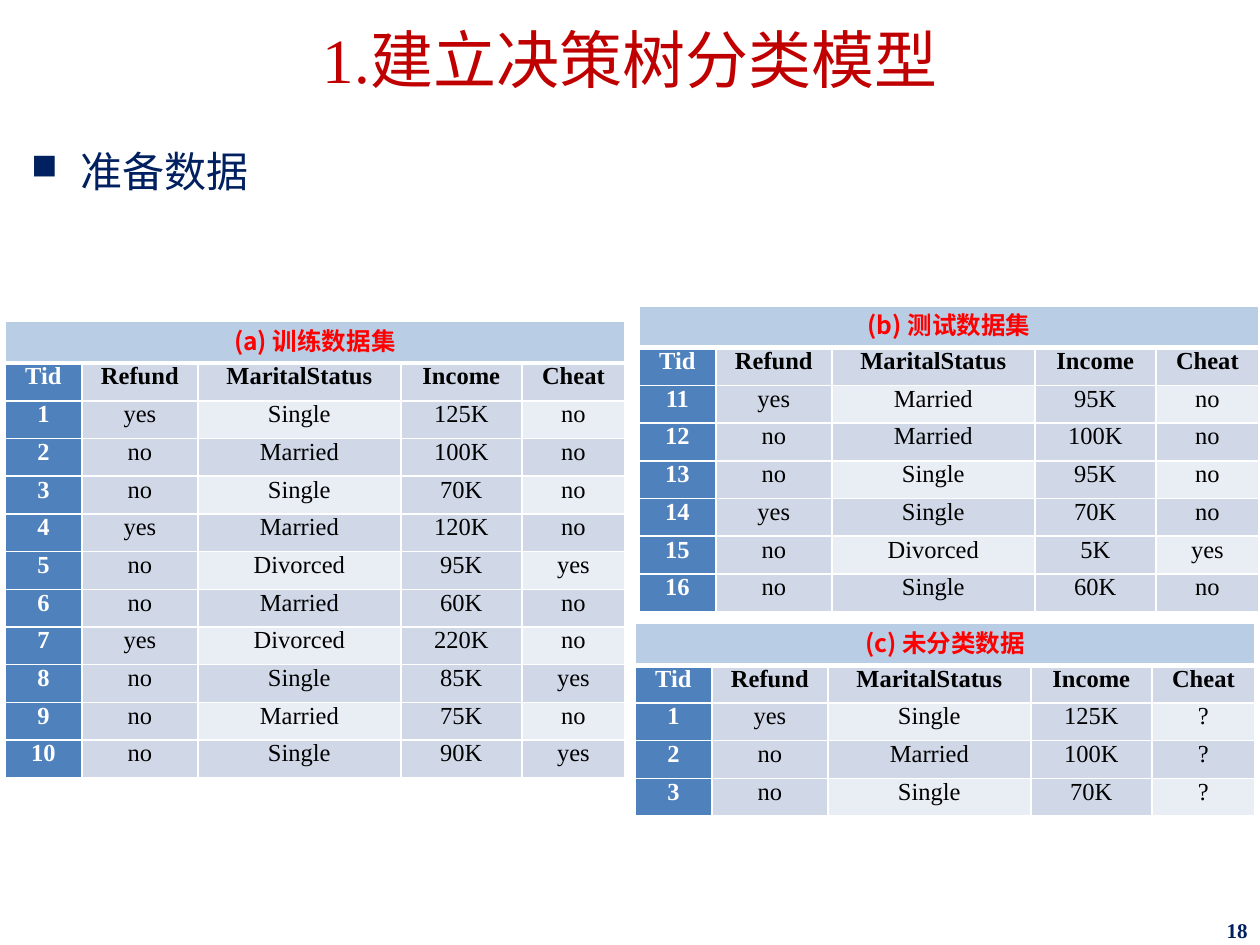
from lxml import etree
from pptx import Presentation, util as u
from pptx.dml.color import RGBColor
from pptx.enum import text
from pptx.oxml import ns

RED = RGBColor(0xC0, 0x00, 0x00)
NAVY = RGBColor(0x00, 0x20, 0x60)
CAPTION_RED = RGBColor(0xFF, 0x00, 0x00)
BLACK = RGBColor(0x00, 0x00, 0x00)
WHITE = RGBColor(0xFF, 0xFF, 0xFF)
CAPTION_FILL = RGBColor(0xB9, 0xCD, 0xE5)
KEY_FILL = RGBColor(0x4F, 0x81, 0xBD)
BAND = RGBColor(0xD0, 0xD8, 0xE8)
LIGHT_BAND = RGBColor(0xE9, 0xED, 0xF4)

SERIF = "Times New Roman"
SANS = "Noto Sans CJK SC"
COLUMNS = (1.55, 2.34, 4.09, 2.44, 2.08)
CAPTION_HEIGHT, ROW_HEIGHT = 0.84, 0.76
HEADER = "Tid Refund MaritalStatus Income Cheat"

TRAINING = """1 yes Single 125K no
2 no Married 100K no
3 no Single 70K no
4 yes Married 120K no
5 no Divorced 95K yes
6 no Married 60K no
7 yes Divorced 220K no
8 no Single 85K yes
9 no Married 75K no
10 no Single 90K yes"""
TEST = """11 yes Married 95K no
12 no Married 100K no
13 no Single 95K no
14 yes Single 70K no
15 no Divorced 5K yes
16 no Single 60K no"""
UNCLASSIFIED = """1 yes Single 125K ?
2 no Married 100K ?
3 no Single 70K ?"""


def write(p, words, size, color, bold=False, font=SERIF, align=text.PP_ALIGN.CENTER):
    p.text = words
    p.alignment = align
    p.font.size = u.Pt(size)
    p.font.name = font
    p.font.bold = bold
    p.font.color.rgb = color
    props = p._p.pPr.find(ns.qn("a:defRPr"))
    etree.SubElement(props, ns.qn("a:ea"), typeface=SANS)


def place(sp, left, top, width, height):
    sp.left, sp.top, sp.width, sp.height = map(u.Cm, (left, top, width, height))


def add_box(s, left, top, width, height):
    sp = s.shapes.add_textbox(*map(u.Cm, (left, top, width, height)))
    sp.text_frame.word_wrap = True
    return sp.text_frame


def add_title(s, left, top, width, height):
    sp = s.shapes.title
    place(sp, left, top, width, height)
    tf = sp.text_frame
    tf.margin_top = u.Cm(0.4)
    tf.vertical_anchor = text.MSO_ANCHOR.MIDDLE
    p = tf.paragraphs[0]
    p.line_spacing = 0.9
    write(p, "1.建立决策树分类模型", 36, RED)


def add_body(s, left, top, width, height):
    p = add_box(s, left, top, width, height).paragraphs[0]
    p.line_spacing = 1.3
    props = p._p.get_or_add_pPr()
    props.set("marL", str(u.Cm(1)))
    props.set("indent", str(-u.Cm(1)))
    etree.SubElement(props, ns.qn("a:buSzPct"), val="85000")
    etree.SubElement(props, ns.qn("a:buChar"), char="■")
    write(p, "准备数据", 24, NAVY, align=text.PP_ALIGN.LEFT)


def add_page_number(s, left, top, width, height):
    tf = add_box(s, left, top, width, height)
    tf.margin_top = u.Cm(0.1)
    tf.vertical_anchor = text.MSO_ANCHOR.MIDDLE
    write(tf.paragraphs[0], "18", 12, NAVY, bold=True, align=text.PP_ALIGN.RIGHT)


def format_cell(cell, fill, top=1, bottom=1):
    cell.margin_left = cell.margin_right = u.Cm(0.18)
    cell.margin_top = cell.margin_bottom = 0
    cell.fill.solid()
    cell.fill.fore_color.rgb = fill
    props = cell._tc.get_or_add_tcPr()
    widths = {"lnL": 1, "lnR": 1, "lnT": top, "lnB": bottom}
    for i, (side, width) in enumerate(widths.items()):
        ln = etree.Element(ns.qn("a:" + side), w=str(u.Pt(width)))
        line_fill = etree.SubElement(ln, ns.qn("a:solidFill"))
        etree.SubElement(line_fill, ns.qn("a:srgbClr"), val=str(WHITE))
        props.insert(i, ln)


def add_data_table(s, left, top, caption, records):
    rows = [line.split() for line in [HEADER, *records.splitlines()]]
    height = CAPTION_HEIGHT + ROW_HEIGHT * len(rows)
    table = s.shapes.add_table(len(rows) + 1, len(COLUMNS), u.Cm(left), u.Cm(top),
                               u.Cm(sum(COLUMNS)), u.Cm(height)).table
    table.first_row = table.horz_banding = False
    for column, width in zip(table.columns, COLUMNS):
        column.width = u.Cm(width)
    for i, row in enumerate(table.rows):
        row.height = u.Cm(ROW_HEIGHT if i else CAPTION_HEIGHT)

    for c in range(len(COLUMNS)):
        format_cell(table.cell(0, c), CAPTION_FILL, bottom=3)
    table.cell(0, 0).merge(table.cell(0, len(COLUMNS) - 1))
    p = table.cell(0, 0).text_frame.paragraphs[0]
    p.space_after = u.Pt(3)
    write(p, caption, 14, CAPTION_RED, bold=True, font=SANS)

    for r, row in enumerate(rows):
        for c, words in enumerate(row):
            light = r % 2 == 1 and c in (2, 4)
            fill = KEY_FILL if c == 0 else LIGHT_BAND if light else BAND
            cell = table.cell(r + 1, c)
            format_cell(cell, fill, top=1 if r else 3)
            write(cell.text_frame.paragraphs[0], words, 14,
                  BLACK if c else WHITE, bold=r == 0 or c == 0)


def main():
    prs = Presentation()
    prs.slide_width, prs.slide_height = u.Cm(25.4), u.Cm(19.05)
    s = prs.slides.add_slide(prs.slide_layouts[5])
    add_title(s, 0, 0, 25.4, 2.26)
    add_body(s, 0.38, 2.51, 24.69, 15.67)
    add_data_table(s, 12.88, 6.17, "(b) 测试数据集", TEST)
    add_data_table(s, 12.8, 12.57, "(c) 未分类数据", UNCLASSIFIED)
    add_data_table(s, 0.1, 6.48, "(a) 训练数据集", TRAINING)
    add_page_number(s, 19.69, 18.49, 5.71, 0.56)
    prs.save("out.pptx")


if __name__ == "__main__":
    main()
